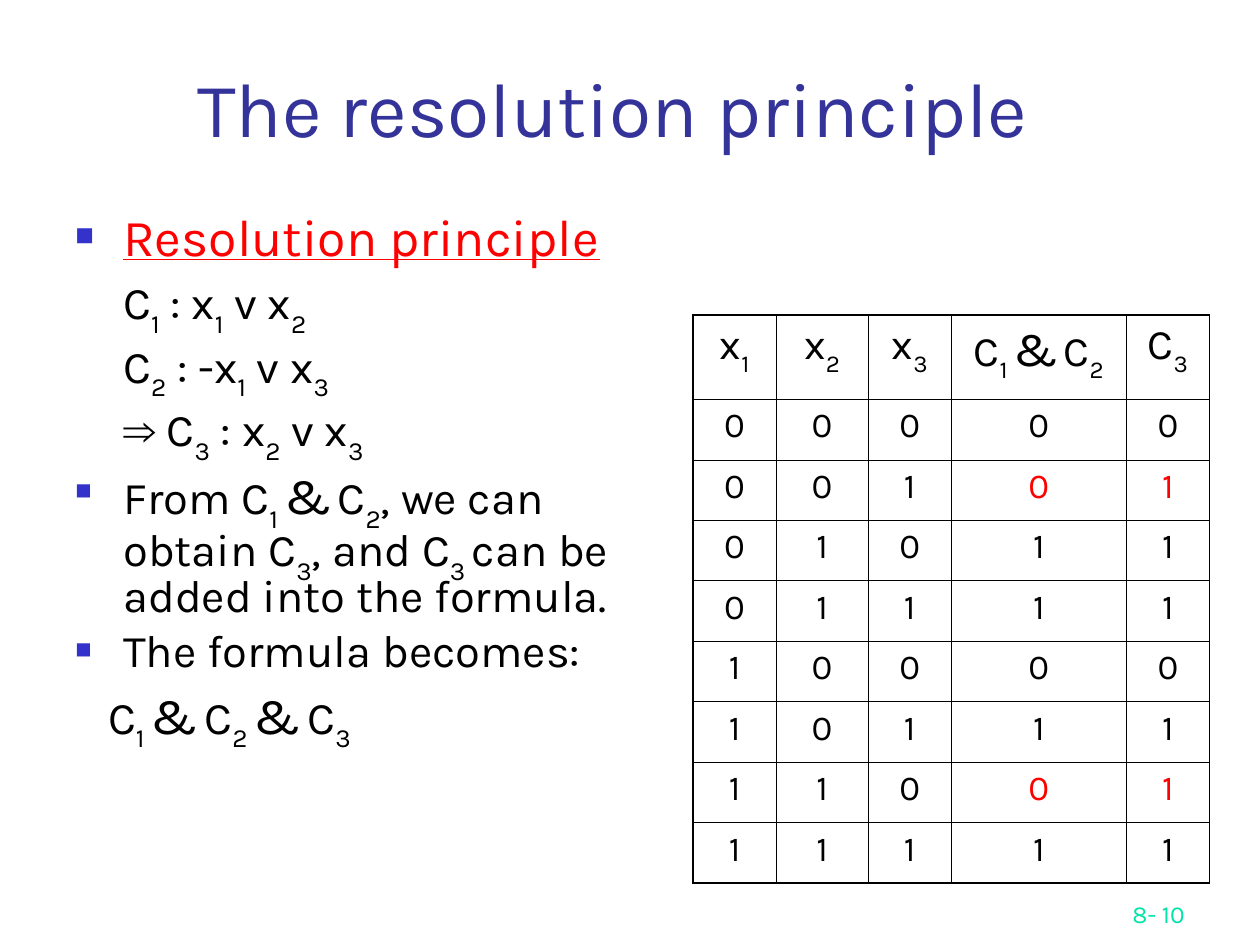
"""Build a slide on the resolution principle with its truth table."""
from itertools import product

from lxml.etree import SubElement
from pptx import Presentation
from pptx.dml.color import RGBColor
from pptx.enum.text import MSO_ANCHOR as Anchor, PP_ALIGN as Align
from pptx.oxml.ns import qn
from pptx.util import Inches, Pt

BLACK = RGBColor(0, 0, 0)
RED = RGBColor(0xFF, 0, 0)
NAVY = RGBColor(0x33, 0x33, 0x99)
BLUE = RGBColor(0x33, 0x33, 0xCC)
MINT = RGBColor(0, 0xE4, 0xA8)
FONT, SYMBOL_FONT = "Karla", "Arial"
HANG = 0.38
BODY_SIZE, HEADING_SIZE = 25.9, 29.6
THIN, THICK = 0.45, 1.08
COLUMNS = [0.66, 0.73, 0.66, 1.39, 0.66]
HEADER_HEIGHT, ROW_HEIGHT = 0.67, 0.48
HEADERS = ["x|1", "x|2", "x|3", "C|1 |&| |C|2", "C|3"]
BODY = [
    ("C|1| : x|1| v x|2", False, HANG),
    ("C|2| : -x|1| v x|3", False, HANG),
    ("⇒|| C|3| : x|2| v x|3", False, HANG),
    ("From C|1 |&| |C|2|, we can obtain C|3|, and C|3 |can be added into the formula.", True, HANG),
    ("The formula becomes:", True, HANG),
    ("C|1 |&| |C|2 |&| |C|3", False, 0.26),
]


def write_formula(paragraph, formula, size, color, large=None):
    """Write text whose every second part, split at bars, is a subscript."""
    paragraph.font.name = FONT
    paragraph.font.size = Pt(size)
    paragraph.font.color.rgb = color
    for index, part in enumerate(formula.split("|")):
        if not part:
            continue
        run = paragraph.add_run()
        run.text = part
        if index % 2:
            run.font._element.set("baseline", "-30000")
        if part == "&":
            run.font.size = Pt(large)
        elif part == "⇒":
            run.font.name = SYMBOL_FONT


def add_box(slide, left, top, width, height, anchor=Anchor.TOP):
    """Add a wrapping text box and return its text frame."""
    frame = slide.shapes.add_textbox(*map(Inches, (left, top, width, height))).text_frame
    frame.word_wrap = True
    frame.vertical_anchor = anchor
    return frame


def add_line(slide, text, place, size, color, align):
    """Add a single line of text resting on the bottom of its box."""
    line = add_box(slide, *place, Anchor.BOTTOM).paragraphs[0]
    line.alignment = align
    write_formula(line, text, size, color)


def indent(paragraph, bulleted, margin):
    """Indent a paragraph, with a hanging square bullet if asked."""
    properties = paragraph._p.get_or_add_pPr()
    properties.set("marL", str(Inches(margin)))
    properties.set("indent", str(-Inches(margin) if bulleted else 0))
    if bulleted:
        SubElement(SubElement(properties, qn("a:buClr")), qn("a:srgbClr"), val=str(BLUE))
        SubElement(properties, qn("a:buSzPct"), val="60000")
        SubElement(properties, qn("a:buFont"), typeface=SYMBOL_FONT)
        SubElement(properties, qn("a:buChar"), char="■")
    paragraph.line_spacing = 0.8


def add_body(slide):
    """Add the heading, the clauses and the conclusion."""
    frame = add_box(slide, 0.5, 1.67, 4.58, 5.42)
    heading = frame.paragraphs[0]
    indent(heading, True, HANG)
    write_formula(heading, "Resolution principle", HEADING_SIZE, RED)
    heading.runs[0].font.underline = True
    for formula, bulleted, margin in BODY:
        paragraph = frame.add_paragraph()
        indent(paragraph, bulleted, margin)
        paragraph.space_before = Pt(7)
        write_formula(paragraph, formula, BODY_SIZE, BLACK, HEADING_SIZE)


def set_borders(cell, outer_sides):
    """Draw the cell's borders, thick where they bound the table."""
    properties = cell._tc.get_or_add_tcPr()
    for side, outer in zip(("lnL", "lnR", "lnT", "lnB"), outer_sides):
        border = SubElement(properties, qn(f"a:{side}"), w=str(Pt(THICK if outer else THIN)))
        fill = SubElement(border, qn("a:solidFill"))
        SubElement(fill, qn("a:srgbClr"), val=str(BLACK))


def truth_rows():
    """Return the values of each row and whether its results differ."""
    rows = []
    for x1, x2, x3 in product((0, 1), repeat=3):
        both = int((x1 or x2) and (not x1 or x3))
        resolvent = int(x2 or x3)
        rows.append(([x1, x2, x3, both, resolvent], both != resolvent))
    return rows


def add_truth_table(slide):
    """Add the truth table, with differing results in red."""
    rows = [(HEADERS, False)] + truth_rows()
    heights = [HEADER_HEIGHT] + [ROW_HEIGHT] * (len(rows) - 1)
    table = slide.shapes.add_table(
        len(rows), len(COLUMNS), Inches(5.5), Inches(2.5),
        Inches(sum(COLUMNS)), Inches(sum(heights))).table
    table.first_row = table.horz_banding = False
    for column, width in zip(table.columns, COLUMNS):
        column.width = Inches(width)
    last_row, last_column = len(rows) - 1, len(COLUMNS) - 1
    for r, (values, differs) in enumerate(rows):
        table.rows[r].height = Inches(heights[r])
        for c, value in enumerate(values):
            cell = table.cell(r, c)
            set_borders(cell, (c == 0, c == last_column, r == 0, r == last_row))
            cell.fill.background()
            entry = cell.text_frame.paragraphs[0]
            entry.alignment = Align.CENTER
            color = RED if differs and c >= 3 else BLACK
            write_formula(entry, str(value), 20 if r else 24, color, 28)


def main():
    """Build and save the slide."""
    deck = Presentation()
    deck.slide_width, deck.slide_height = Inches(10), Inches(7.5)
    slide = deck.slides.add_slide(deck.slide_layouts[6])
    add_line(slide, "8- 10", (7.42, 6.92, 2.08, 0.5), 14, MINT, Align.RIGHT)
    add_body(slide)
    add_line(slide, "The resolution principle", (1.08, 0.33, 7.57, 0.93), 44, NAVY, Align.CENTER)
    add_truth_table(slide)
    deck.save("out.pptx")


if __name__ == "__main__":
    main()
